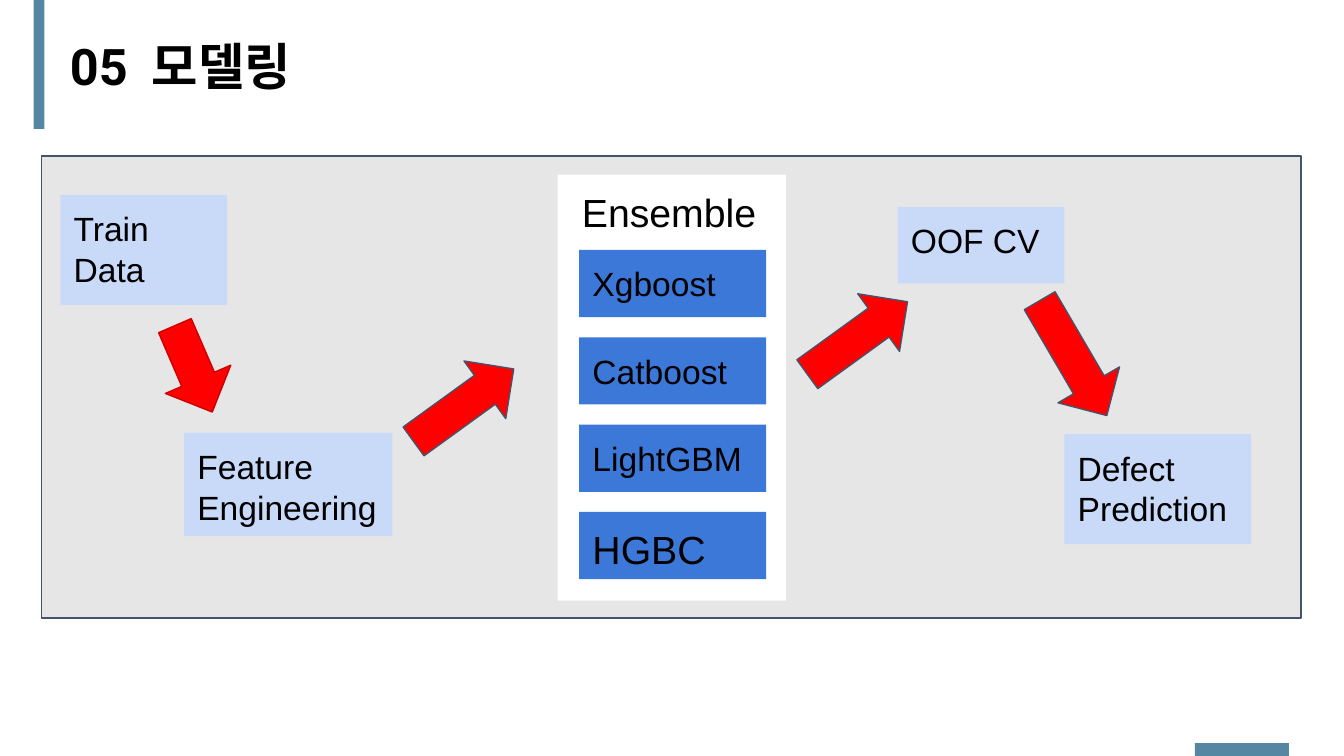
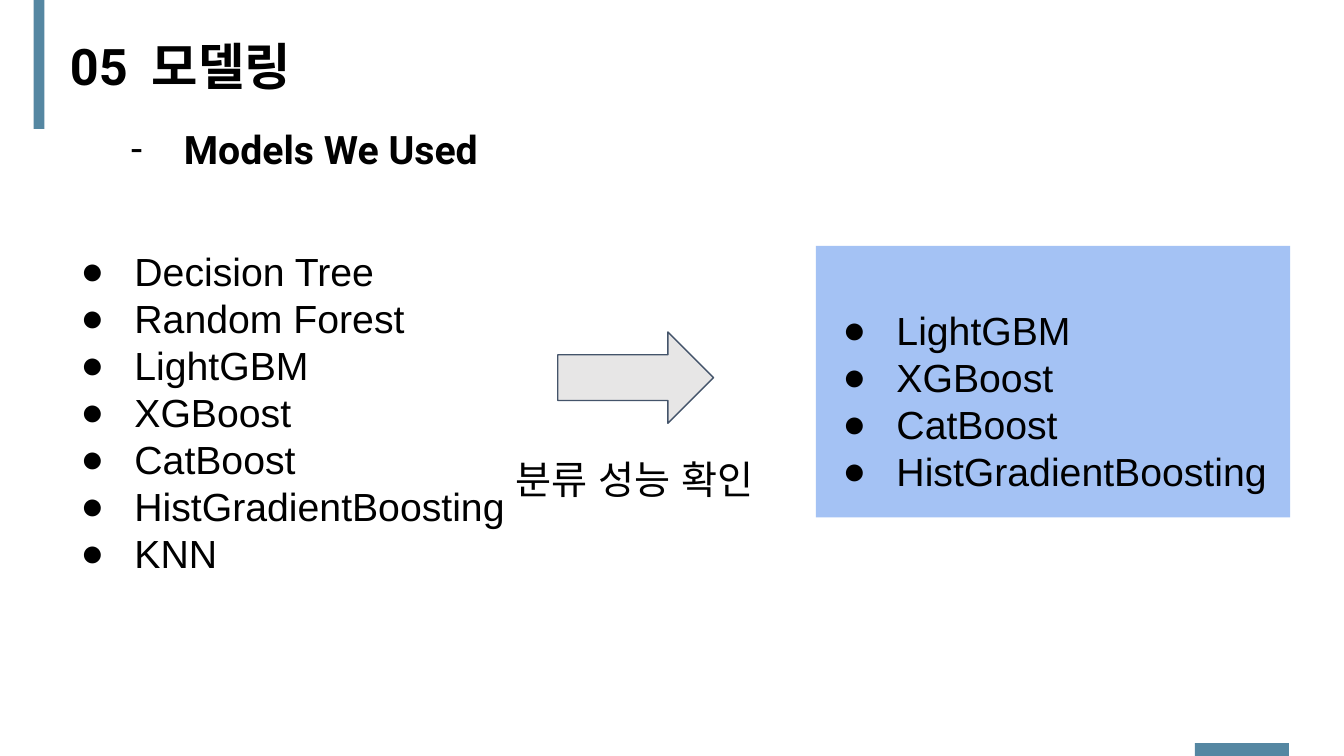
from dataclasses import dataclass

from lxml.etree import SubElement
from pptx import Presentation
from pptx.dml.color import RGBColor
from pptx.enum.shapes import MSO_SHAPE
from pptx.enum.text import MSO_ANCHOR, MSO_AUTO_SIZE, PP_ALIGN
from pptx.oxml.ns import qn
from pptx.util import Inches, Pt


@dataclass(frozen=True)
class Theme:
    """Colours, fonts and type sizes of the deck."""
    band: str = "5587A2"
    panel: str = "E7E6E6"
    edge: str = "44546A"
    step: str = "C9DAF8"
    model: str = "3C78D8"
    pick: str = "A4C2F4"
    white: str = "FFFFFF"
    ink: str = "000000"
    red: str = "FF0000"
    rim: str = "CC0000"
    head: str = "Roboto"
    body: str = "Arial"
    big: int = 27
    mid: int = 21
    small: int = 18


T = Theme()
WIDTH = Inches(10)
HEIGHT = WIDTH * 9 // 16
SLIM = (0.07, 0.04, 0.07, 0.04)
WIDE = (0.1, 0.1, 0.1, 0.1)


def put(item, form):
    """Set each attribute named in form on item."""
    for name, value in form.items():
        setattr(item, name, value)


def place(item, spot):
    """Move item to left, top, width, height in inches."""
    names = ("left", "top", "width", "height")
    put(item, dict(zip(names, map(Inches, spot))))


def mark(para, sign):
    """Give para a hanging bullet."""
    props = para._p.get_or_add_pPr()
    props.set("marL", str(Inches(0.5)))
    props.set("indent", str(-Inches(0.4)))
    tint = SubElement(props, qn("a:buClr"))
    SubElement(tint, qn("a:srgbClr"), val=T.ink)
    SubElement(props, qn("a:buFont"), typeface=T.body)
    SubElement(props, qn("a:buChar"), char=sign)


def write(item, lines, size, font=T.body, bold=False, inset=WIDE, sign=None):
    """Fill item with one paragraph for each line."""
    frame = item.text_frame
    names = ("margin_left", "margin_top", "margin_right", "margin_bottom")
    put(frame, dict(zip(names, map(Inches, inset))))
    put(frame, {"word_wrap": True, "auto_size": MSO_AUTO_SIZE.NONE,
                "vertical_anchor": MSO_ANCHOR.TOP})
    for num, line in enumerate(lines):
        para = frame.add_paragraph() if num else frame.paragraphs[0]
        if sign:
            mark(para, sign)
        put(para, {"alignment": PP_ALIGN.LEFT, "line_spacing": 1.0,
                   "space_before": Pt(0), "space_after": Pt(0)})
        run = para.add_run()
        run.text = line
        put(run.font, {"name": font, "size": Pt(size), "bold": bold})
        run.font.color.rgb = RGBColor.from_string(T.ink)
        SubElement(run._r.get_or_add_rPr(), qn("a:ea"), typeface=font)


def paint(item, fill):
    """Give item a solid fill."""
    item.fill.solid()
    item.fill.fore_color.rgb = RGBColor.from_string(fill)


def block(slide, spot, fill, edge=None, kind=MSO_SHAPE.RECTANGLE):
    """Add a flat shape, outlined only if edge is given."""
    item = slide.shapes.add_shape(kind, *map(Inches, spot))
    item.shadow.inherit = False
    paint(item, fill)
    if edge:
        item.line.color.rgb = RGBColor.from_string(edge)
        item.line.width = Pt(0.75)
    else:
        item.line.fill.background()
    return item


def arrow(slide, spot, fill, edge, turn=0):
    """Add a block arrow turned clockwise by turn degrees."""
    item = block(slide, spot, fill, edge, MSO_SHAPE.RIGHT_ARROW)
    item.rotation = turn


def label(slide, spot, lines, size, **form):
    """Add a text box."""
    item = slide.shapes.add_textbox(*map(Inches, spot))
    write(item, lines, size, **form)


def roster(item, spot, names, inset=WIDE):
    """Turn a body placeholder into a bulleted list."""
    place(item, spot)
    write(item, names, T.mid, inset=inset, sign="●")


def start(deck, layout):
    """Add a slide with the shared bands, number and title."""
    slide = deck.slides.add_slide(deck.slide_layouts[layout])
    block(slide, (0.25, 0, 0.08, 0.96), T.band)
    block(slide, (8.89, 5.53, 0.7, 0.1), T.band)
    form = {"font": T.head, "bold": True, "inset": SLIM}
    label(slide, (0.45, 0.22, 0.61, 0.53), ["05"], T.big, **form)
    title = slide.shapes.title
    place(title, (1.06, 0.22, 4.92, 0.53))
    write(title, ["모델링"], T.big, **form)
    return slide


def flow(deck):
    """Build the modelling pipeline slide."""
    slide = start(deck, 5)
    block(slide, (0.31, 1.16, 9.37, 3.44), T.panel, T.edge)
    steps = [
        ((0.45, 1.45, 1.24, 0.82), ["Train Data"]),
        ((1.37, 3.22, 1.55, 0.77), ["Feature Engineering"]),
        ((6.68, 1.54, 1.24, 0.57), ["OOF CV"]),
        ((7.92, 3.23, 1.39, 0.82), ["Defect", "Prediction"]),
    ]
    for spot, lines in steps:
        write(block(slide, spot, T.step), lines, T.small)
    group = block(slide, (4.15, 1.3, 1.7, 3.17), T.white)
    write(group, ["Ensemble"], T.mid, inset=(0.18, 0.1, 0.1, 0.1))
    models = [("Xgboost", T.small), ("Catboost", T.small),
              ("LightGBM", T.small), ("HGBC", T.mid)]
    for row, (name, size) in enumerate(models):
        spot = (4.31, 1.86 + 0.65 * row, 1.39, 0.5)
        write(block(slide, spot, T.model), [name], size)
    arrows = [
        ((1.09, 2.48, 0.7, 0.53), T.rim, 66.6),
        ((2.99, 2.75, 0.92, 0.53), T.edge, 324.1),
        ((7.49, 2.4, 0.99, 0.53), T.edge, 59.7),
        ((5.92, 2.25, 0.92, 0.53), T.edge, 324.1),
    ]
    for spot, edge, turn in arrows:
        arrow(slide, spot, T.red, edge, turn)


def choice(deck):
    """Build the slide on tried and chosen models."""
    slide = start(deck, 3)
    tried, kept = slide.placeholders[1], slide.placeholders[2]
    best = ["LightGBM", "XGBoost", "CatBoost", "HistGradientBoosting"]
    names = ["Decision Tree", "Random Forest", *best, "KNN"]
    roster(tried, (0.4, 1.74, 3.53, 2.86), names)
    roster(kept, (6.07, 1.83, 3.53, 2.02), best, (0.1, 0.45, 0.1, 0.1))
    paint(kept, T.pick)
    arrow(slide, (4.15, 2.47, 1.16, 0.68), T.panel, T.edge)
    label(slide, (3.74, 3.29, 2.15, 0.53), ["분류 성능 확인"], T.mid)
    label(slide, (0.77, 0.83, 4.97, 0.53), ["Models We Used"], T.mid,
          font=T.head, bold=True, sign="-")


def main():
    """Build and save the deck."""
    deck = Presentation()
    put(deck, {"slide_width": WIDTH, "slide_height": HEIGHT})
    flow(deck)
    choice(deck)
    deck.save("out.pptx")


if __name__ == "__main__":
    main()
